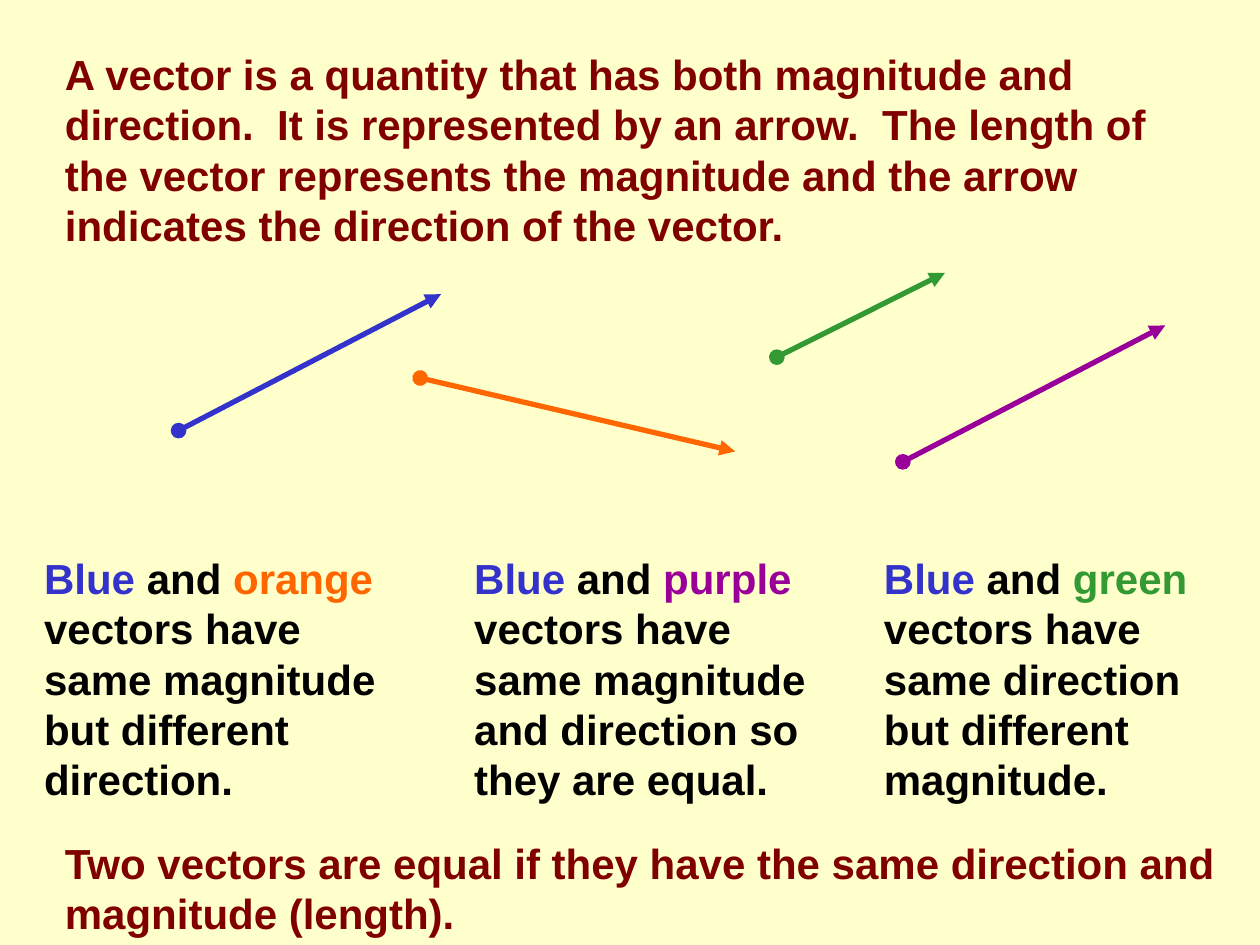
import pptx
import pptx.util
import pptx.dml.color
import pptx.enum.shapes
import pptx.enum.text
from dataclasses import dataclass
from lxml import etree
from pptx.oxml.ns import qn
from pptx.util import Cm


@dataclass(frozen=True)
class Theme:
    background: str = "FFFFCC"
    statement: str = "800000"
    body: str = "000000"
    blue: str = "3333CC"
    orange: str = "FF6600"
    purple: str = "990099"
    green: str = "339933"
    font: str = "Arial"
    size: int = 24
    space_before: int = 15
    line_width: int = 3


def rgb(value):
    return pptx.dml.color.RGBColor.from_string(value)


class VectorSlide:
    """Holds the theme and the slide being drawn."""

    def __init__(self, prs, theme):
        self.theme = theme
        self.s = prs.slides.add_slide(prs.slide_layouts[6])
        fill = self.s.background.fill
        fill.solid()
        fill.fore_color.rgb = rgb(theme.background)

    def text(self, left, top, width, height, runs):
        """Add one bold paragraph made of (text, colour) runs."""
        sp = self.s.shapes.add_textbox(Cm(left), Cm(top), Cm(width), Cm(height))
        tf = sp.text_frame
        tf.word_wrap = True
        tf.auto_size = pptx.enum.text.MSO_AUTO_SIZE.SHAPE_TO_FIT_TEXT
        p = tf.paragraphs[0]
        p.space_before = pptx.util.Pt(self.theme.space_before)
        p.font.name = self.theme.font
        p.font.size = pptx.util.Pt(self.theme.size)
        p.font.bold = True
        for words, colour in runs:
            r = p.add_run()
            r.text = words
            r.font.color.rgb = rgb(colour)

    def vector(self, x1, y1, x2, y2, colour):
        """Add an arrow with a round tail point."""
        sp = self.s.shapes.add_connector(
            pptx.enum.shapes.MSO_CONNECTOR.STRAIGHT,
            Cm(x1), Cm(y1), Cm(x2), Cm(y2))
        sp.line.color.rgb = rgb(colour)
        sp.line.width = pptx.util.Pt(self.theme.line_width)
        ln = sp.line._get_or_add_ln()
        etree.SubElement(ln, qn("a:headEnd"), type="oval")
        etree.SubElement(ln, qn("a:tailEnd"), type="triangle")
        etree.SubElement(sp._element.spPr, qn("a:effectLst"))


def main():
    prs = pptx.Presentation()
    prs.slide_width, prs.slide_height = Cm(25.4), Cm(19.05)
    theme = Theme()
    slide = VectorSlide(prs, theme)

    # Definition
    slide.text(1.06, 0.85, 22.86, 4.32, [(
        "A vector is a quantity that has both magnitude and direction.  "
        "It is represented by an arrow.  The length of the vector represents "
        "the magnitude and the arrow indicates the direction of the vector.",
        theme.statement)])

    # Vectors: blue and purple are equal
    dx, dy = 5.29, -2.75
    for x, y, colour in [(3.6, 8.68, theme.blue), (18.2, 9.31, theme.purple)]:
        slide.vector(x, y, x + dx, y + dy, colour)
    slide.vector(15.66, 7.2, 19.05, 5.5, theme.green)
    slide.vector(8.47, 7.62, 14.82, 9.1, theme.orange)

    # Comparisons with the blue vector
    comparisons = [
        (0.64, "orange", theme.orange,
         "vectors have same magnitude but different direction."),
        (9.31, "purple", theme.purple,
         "vectors have same magnitude and direction so they are equal."),
        (17.57, "green", theme.green,
         "vectors have same direction but different magnitude."),
    ]
    for left, name, colour, finding in comparisons:
        slide.text(left, 11.01, 7.83, 5.33, [
            ("Blue", theme.blue), (" and ", theme.body),
            (name, colour), (" " + finding, theme.body)])

    # Conclusion
    slide.text(1.06, 16.76, 24.34, 2.29, [(
        "Two vectors are equal if they have the same direction and "
        "magnitude (length).", theme.statement)])

    prs.save("out.pptx")


if __name__ == "__main__":
    main()
